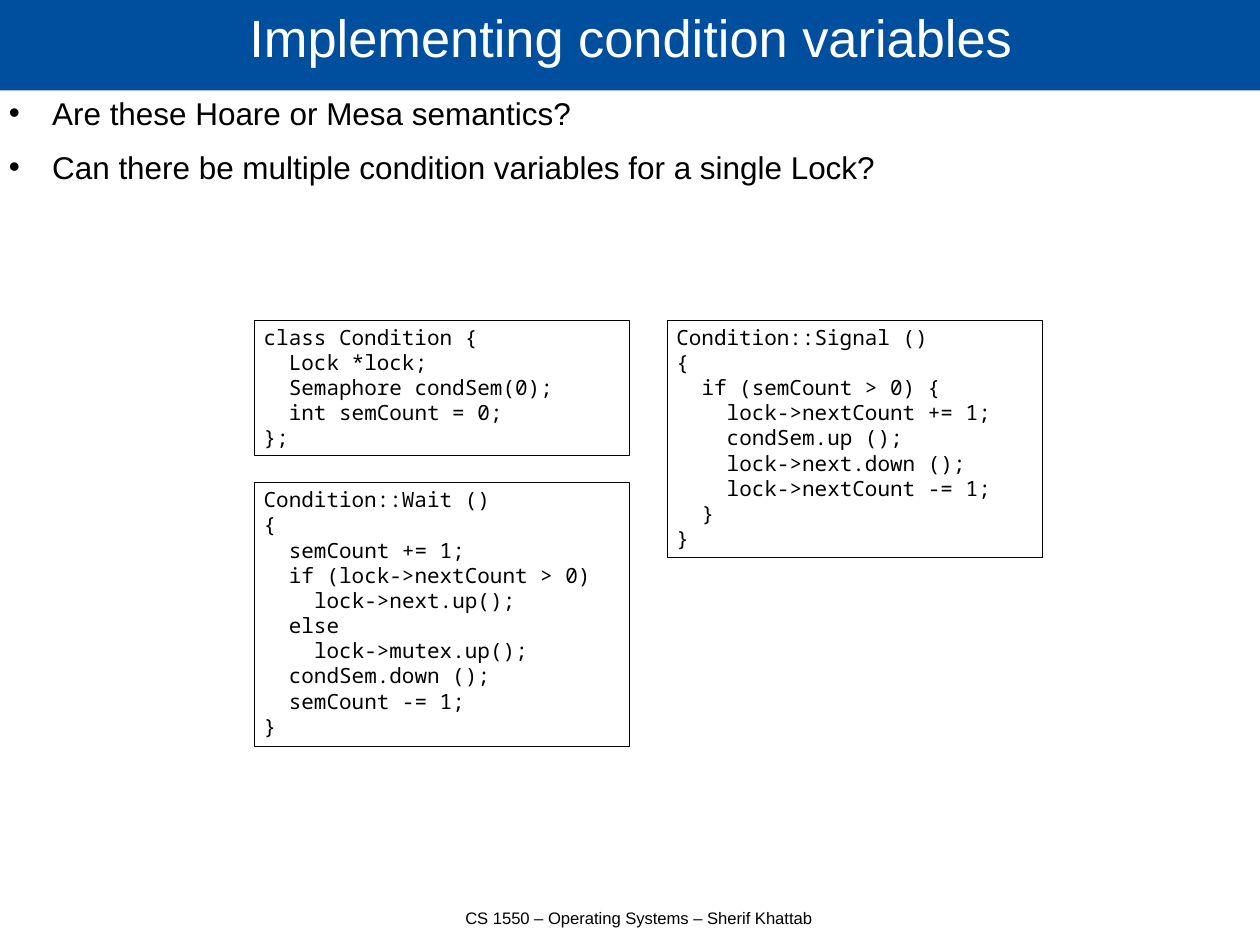
from lxml.etree import SubElement
from pptx import Presentation
from pptx.dml.color import RGBColor
from pptx.enum.shapes import MSO_SHAPE
from pptx.enum.text import MSO_ANCHOR, MSO_AUTO_SIZE, PP_ALIGN
from pptx.oxml.ns import qn
from pptx.util import Cm, Pt

CLASS = """class Condition {
  Lock *lock;
  Semaphore condSem(0);
  int semCount = 0;
};"""

WAIT = """Condition::Wait ()
{
  semCount += 1;
  if (lock->nextCount > 0)
    lock->next.up();
  else
    lock->mutex.up();
  condSem.down ();
  semCount -= 1;
}"""

SIGNAL = """Condition::Signal ()
{
  if (semCount > 0) {
    lock->nextCount += 1;
    condSem.up ();
    lock->next.down ();
    lock->nextCount -= 1;
  }
}"""


def color(text):
    return RGBColor.from_string(text)


class Deck:
    """Style and current slide."""
    sans, mono = "Arial", "Noto Sans Mono"
    blue, black, white = "004F9E", "000000", "FFFFFF"
    step = 0.56  # width in cm of one level of code indent

    def __init__(self, wide, high):
        self.file = Presentation()
        self.file.slide_width, self.file.slide_height = Cm(wide), Cm(high)
        self.slide = self.file.slides.add_slide(self.file.slide_layouts[6])

    def rect(self, *place):
        shape = self.slide.shapes.add_shape(MSO_SHAPE.RECTANGLE, *map(Cm, place))
        shape.shadow.inherit = False
        return shape

    def label(self, *place):
        return self.slide.shapes.add_textbox(*map(Cm, place)).text_frame

    def inset(self, frame, side, top):
        frame.word_wrap = True
        frame.margin_left = frame.margin_right = Cm(side)
        frame.margin_top = frame.margin_bottom = Cm(top)

    def fill(self, frame, lines, size, face, ink, align=PP_ALIGN.LEFT):
        """Put one paragraph per line and return the paragraphs."""
        frame.text = "\n".join(lines)
        for para in frame.paragraphs:
            para.alignment = align
            para.font.size, para.font.name = Pt(size), face
            para.font.color.rgb = color(ink)
        return frame.paragraphs

    def title(self, text, *place):
        band = self.rect(*place)
        band.fill.solid()
        band.fill.fore_color.rgb = color(self.blue)
        band.line.fill.background()
        frame = band.text_frame
        self.inset(frame, 0, 0)
        frame.vertical_anchor = MSO_ANCHOR.MIDDLE
        para, = self.fill(frame, [text], 33, self.sans, self.white, PP_ALIGN.CENTER)
        para.line_spacing = 0.69

    def list(self, lines, *place):
        frame = self.label(*place)
        self.inset(frame, 0.2, 0.1)
        for para in self.fill(frame, lines, 19.8, self.sans, self.black):
            para.space_after = Pt(10.7)
            props = para._p.get_or_add_pPr()
            props.set("marL", str(Cm(0.96)))
            props.set("indent", str(-Cm(0.96)))
            # Bullets must precede the paragraph's default run style.
            style = props.find(qn("a:defRPr"))
            SubElement(props, qn("a:buFont"), typeface=self.sans)
            SubElement(props, qn("a:buChar"), char="•")
            if style is not None:
                props.append(style)

    def code(self, text, *place):
        """Draw a framed listing; leading spaces become paragraph indents."""
        box = self.rect(*place)
        box.fill.background()
        box.line.color.rgb = color(self.black)
        box.line.width = Pt(0.5)
        frame = box.text_frame
        self.inset(frame, 0.2, 0.1)
        frame.vertical_anchor = MSO_ANCHOR.TOP
        frame.auto_size = MSO_AUTO_SIZE.SHAPE_TO_FIT_TEXT
        rows = text.split("\n")
        lines = [row.lstrip() for row in rows]
        paras = self.fill(frame, lines, 13.2, self.mono, self.black)
        for para, row, line in zip(paras, rows, lines):
            level = (len(row) - len(line)) // 2
            para._p.get_or_add_pPr().set("marL", str(Cm(level * self.step)))

    def footer(self, text, *place):
        frame = self.label(*place)
        self.inset(frame, 0, 0)
        self.fill(frame, [text], 10.5, self.sans, self.black, PP_ALIGN.CENTER)


def main():
    deck = Deck(28, 21)
    deck.title("Implementing condition variables", 0, -0.05, 28.04, 2.06)
    deck.list(["Are these Hoare or Mesa semantics?",
               "Can there be multiple condition variables for a single Lock?"],
              0, 1.98, 28.04, 18.24)
    deck.footer("CS 1550 – Operating Systems – Sherif Khattab", 7.8, 20.17, 12.8, 1.4)
    left, right, top, wide = 5.66, 14.83, 7.11, 8.33
    deck.code(CLASS, left, top, wide, 3.02)
    deck.code(WAIT, left, 10.72, wide, 5.87)
    deck.code(SIGNAL, right, top, wide, 5.28)
    deck.file.save("out.pptx")


if __name__ == "__main__":
    main()
